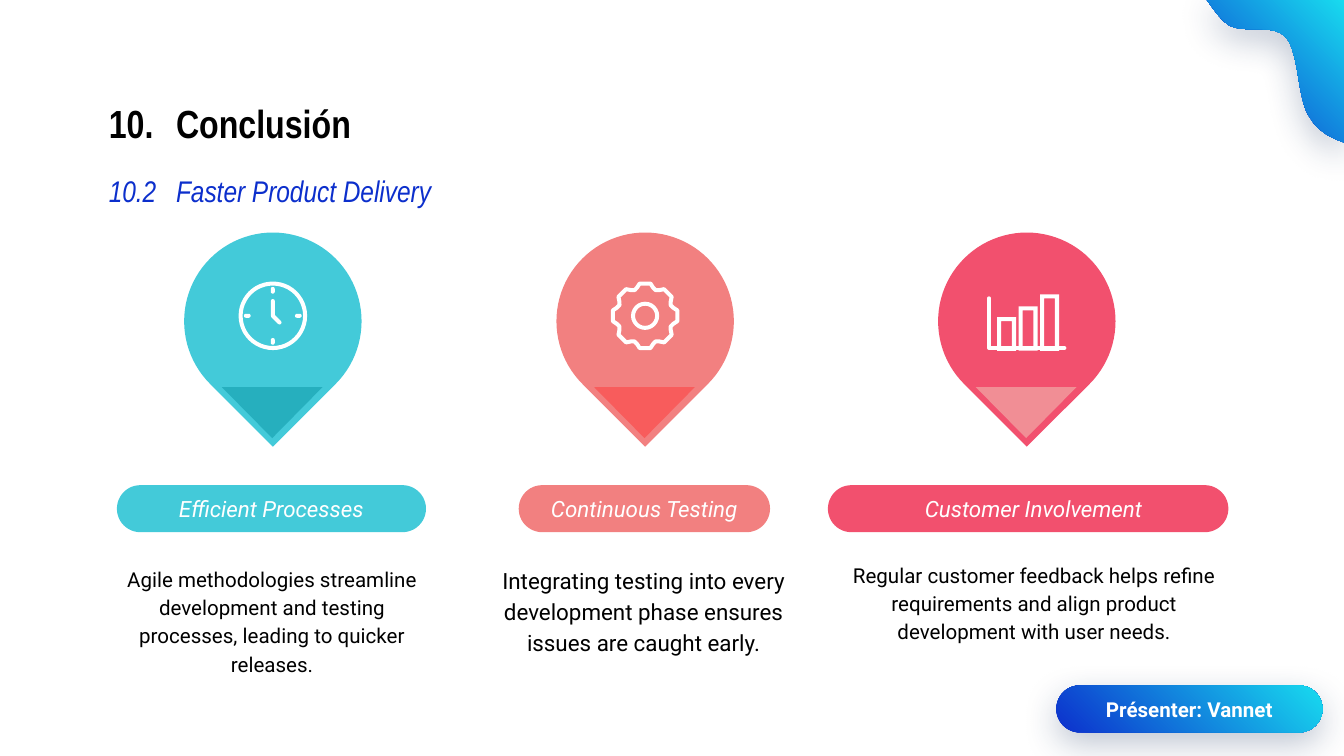
import math
from dataclasses import dataclass

import pptx
import pptx.util
from lxml import etree
from pptx.dml.color import RGBColor
from pptx.enum.shapes import MSO_SHAPE
from pptx.enum.text import MSO_ANCHOR, MSO_AUTO_SIZE, PP_ALIGN
from pptx.oxml.ns import qn
from pptx.util import Inches


@dataclass(frozen=True)
class Theme:
    heading_font: str = "Arial Narrow"
    text_font: str = "Roboto"
    black: str = "000000"
    white: str = "FFFFFF"
    blue: str = "0C2FCC"
    cyan: str = "18DBEF"
    shadow: str = "1F3864"
    teal: tuple = ("43CAD9", "26AFBE")
    coral: tuple = ("F28080", "F85C5C")
    rose: tuple = ("F2506E", "F18E95")
    title_size: float = 21
    subtitle_size: float = 16
    label_size: float = 12
    body_size: float = 11
    stroke: float = 0.03  # icon line thickness, inches


@dataclass(frozen=True)
class Box:
    left: float
    top: float
    width: float
    height: float

    def inches(self):
        return [Inches(v) for v in (self.left, self.top, self.width, self.height)]


THEME = Theme()


# --- shared helpers ---
def paint(shape, color):
    shape.shadow.inherit = False
    shape.fill.solid()
    shape.fill.fore_color.rgb = RGBColor.from_string(color)
    shape.line.fill.background()
    return shape


def paint_gradient(shape):
    """Blue to cyan towards the upper right, over a soft shadow."""
    paint(shape, THEME.blue)
    shape.fill.gradient()
    for stop, color in zip(shape.fill.gradient_stops, (THEME.blue, THEME.cyan)):
        stop.color.rgb = RGBColor.from_string(color)
    shape.fill.gradient_angle = 45
    effects = shape._element.spPr.find(qn("a:effectLst"))
    shadow = etree.SubElement(effects, qn("a:outerShdw"), blurRad=str(pptx.util.Pt(19)),
                              dist=str(pptx.util.Pt(6)), dir="5400000",
                              algn="t", rotWithShape="0")
    tint = etree.SubElement(shadow, qn("a:srgbClr"), val=THEME.shadow)
    etree.SubElement(tint, qn("a:alpha"), val="28000")


def add_preset(page, kind, box, color, adjust=None):
    shape = page.shapes.add_shape(kind, *box.inches())
    if adjust is not None:
        shape.adjustments[0] = adjust
    return paint(shape, color)


def add_outline(page, points, closed=True):
    points = [(Inches(x), Inches(y)) for x, y in points]
    builder = page.shapes.build_freeform(*points[0])
    builder.add_line_segments(points[1:], close=closed)
    return builder.convert_to_shape()


def add_stroke(page, points, closed=True):
    shape = add_outline(page, points, closed)
    shape.shadow.inherit = False
    shape.fill.background()
    shape.line.color.rgb = RGBColor.from_string(THEME.white)
    shape.line.width = Inches(THEME.stroke)
    line = shape._element.spPr.find(qn("a:ln"))
    line.set("cap", "rnd")
    etree.SubElement(line, qn("a:round"))


def write(shape, text, size, color, font=THEME.text_font, align=PP_ALIGN.CENTER,
          anchor=MSO_ANCHOR.MIDDLE, margins=(0.1, 0.1, 0.1, 0.1), spacing=1.0,
          bold=False, italic=False, tab=None):
    frame = shape.text_frame
    frame.text = text
    frame.word_wrap = True
    frame.auto_size = MSO_AUTO_SIZE.NONE
    frame.vertical_anchor = anchor
    (frame.margin_left, frame.margin_top,
     frame.margin_right, frame.margin_bottom) = map(Inches, margins)
    para = frame.paragraphs[0]
    para.alignment = align
    para.line_spacing = spacing
    para.space_before = pptx.util.Pt(0)
    if tab:
        properties = para._p.get_or_add_pPr()
        properties.set("marL", "0")
        properties.set("indent", "0")
        etree.SubElement(properties, qn("a:buNone"))
        stops = etree.SubElement(properties, qn("a:tabLst"))
        etree.SubElement(stops, qn("a:tab"), pos=str(Inches(tab)), algn="l")
    para.font.name, para.font.size = font, pptx.util.Pt(size)
    para.font.bold, para.font.italic = bold, italic
    para.font.color.rgb = RGBColor.from_string(color)


# --- headings ---
def add_headings(page, box):
    title, subtitle = page.placeholders
    rows = ((title, "10.\tConclusión", THEME.title_size, THEME.black, True),
            (subtitle, "10.2\tFaster Product Delivery", THEME.subtitle_size, THEME.blue, False))
    for row, (holder, text, size, color, bold) in enumerate(rows):
        place = Box(box.left, box.top + 0.5 * row, box.width, 0.53)
        holder.left, holder.top, holder.width, holder.height = place.inches()
        write(holder, text, size, color, THEME.heading_font, PP_ALIGN.LEFT,
              spacing=0.9, bold=bold, italic=not bold, tab=1)


# --- icons, each centred on a point ---
def add_ring(page, x, y, size):
    add_preset(page, MSO_SHAPE.DONUT, Box(x - size / 2, y - size / 2, size, size),
               THEME.white, THEME.stroke / size)


def add_clock(page, x, y):
    add_ring(page, x, y, 0.51)
    for dx, dy in ((0, -0.19), (0, 0.19), (-0.19, 0), (0.19, 0)):
        width, height = (0.05, 0.03) if dx else (0.03, 0.05)
        add_preset(page, MSO_SHAPE.ROUNDED_RECTANGLE,
                   Box(x + dx - width / 2, y + dy - height / 2, width, height),
                   THEME.white, 0.5)
    hands = ((0, -0.11), (0, 0), (0.05, 0.05))
    add_stroke(page, [(x + dx, y + dy) for dx, dy in hands], closed=False)


def add_gear(page, x, y):
    tooth = ((-0.06, -0.21), (-0.04, -0.24), (0.04, -0.24), (0.06, -0.21), (0.08, -0.19))
    points = []
    for step in range(8):
        cos, sin = math.cos(step * math.pi / 4), math.sin(step * math.pi / 4)
        points += [(x + dx * cos - dy * sin, y + dx * sin + dy * cos) for dx, dy in tooth]
    add_stroke(page, points)
    add_ring(page, x, y, 0.21)


def add_bars(page, x, y):
    bottom = y + 0.26
    for index, height in enumerate((0.25, 0.33, 0.42)):
        add_preset(page, MSO_SHAPE.FRAME,
                   Box(x - 0.22 + 0.16 * index, bottom - height, 0.14, height),
                   THEME.white, THEME.stroke / 0.14)
    axes = ((-0.28, -0.13), (-0.28, 0.24), (0.28, 0.24))
    add_stroke(page, [(x + dx, y + dy) for dx, dy in axes], closed=False)


# --- one column: pin, label pill and description ---
def add_pin(page, box, colors, icon):
    middle = box.left + box.width / 2
    add_preset(page, MSO_SHAPE.TEAR, box, colors[0]).rotation = 135
    add_preset(page, MSO_SHAPE.ISOSCELES_TRIANGLE,
               Box(middle - 0.38, box.top + 1.15, 0.75, 0.38), colors[1]).rotation = 180
    icon(page, middle, box.top + 0.62)


def add_column(page, box, pin_left, colors, icon, label, label_shift, text, text_box, size):
    add_pin(page, Box(pin_left, box.top, 1.32, 1.32), colors, icon)
    pill = add_preset(page, MSO_SHAPE.ROUNDED_RECTANGLE,
                      Box(box.left, box.top + 1.88, box.width, 0.35), colors[0], 0.5)
    write(pill, label, THEME.label_size, THEME.white, italic=True,
          margins=(0.1 + 2 * label_shift, 0.1, 0.1, 0.1))
    description = page.shapes.add_textbox(*text_box.inches())
    write(description, text, size, THEME.black, anchor=MSO_ANCHOR.TOP,
          margins=(0.01, 0.01, 0, 0), spacing=1.15)


# --- decoration ---
def add_presenter(page, box):
    button = add_preset(page, MSO_SHAPE.ROUNDED_RECTANGLE, box, THEME.blue, 0.5)
    paint_gradient(button)
    write(button, "Présenter: Vannet", THEME.body_size, THEME.white, bold=True,
          margins=(0.1, 0.05, 0.1, 0.05))


def add_corner_wave(page, box):
    """Wavy edge from the top left to the bottom right of the box."""
    curves = (((0.05, 0.07), (0.1, 0.14), (0.14, 0.17)),
              ((0.25, 0.27), (0.48, 0.16), (0.59, 0.28)),
              ((0.69, 0.4), (0.67, 0.75), (0.77, 0.88)),
              ((0.83, 0.98), (0.93, 1.03), (box.width, box.height)))
    points, start = [(box.width, 0), (0, 0)], (0, 0)
    for first, second, end in curves:
        for t in (step / 16 for step in range(1, 17)):
            weights = ((1 - t) ** 3, 3 * t * (1 - t) ** 2, 3 * t * t * (1 - t), t ** 3)
            points.append(tuple(sum(w * p[axis] for w, p in zip(weights, (start, first, second, end)))
                                for axis in (0, 1)))
        start = end
    paint_gradient(add_outline(page, [(box.left + x, box.top + y) for x, y in points]))


def main():
    deck = pptx.Presentation()
    deck.slide_width = Inches(10)
    deck.slide_height = deck.slide_width * 9 // 16
    page = deck.slides.add_slide(deck.slide_layouts[1])
    add_headings(page, Box(0.71, 0.67, 6.78, 1.03))
    add_column(page, Box(0.87, 1.73, 2.3, 3.26), 1.37, THEME.teal, add_clock,
               "Efficient Processes", 0,
               "Agile methodologies streamline development and testing processes, "
               "leading to quicker releases.",
               Box(0.87, 4.18, 2.3, 0.81), THEME.body_size)
    add_column(page, Box(3.86, 1.73, 1.87, 3.26), 4.14, THEME.coral, add_gear,
               "Continuous Testing", 0,
               "Integrating testing into every development phase ensures issues are caught early.",
               Box(3.52, 4.18, 2.53, 0.81), THEME.label_size)
    add_column(page, Box(6.16, 1.73, 2.98, 3.26), 6.98, THEME.rose, add_bars,
               "Customer Involvement", 0.04,
               "Regular customer feedback helps refine requirements and align product "
               "development with user needs.",
               Box(6.22, 4.15, 2.94, 0.81), THEME.body_size)
    add_presenter(page, Box(7.86, 5.1, 1.98, 0.35))
    add_corner_wave(page, Box(8.98, 0, 1.02, 1.06))
    deck.save("out.pptx")


if __name__ == "__main__":
    main()
